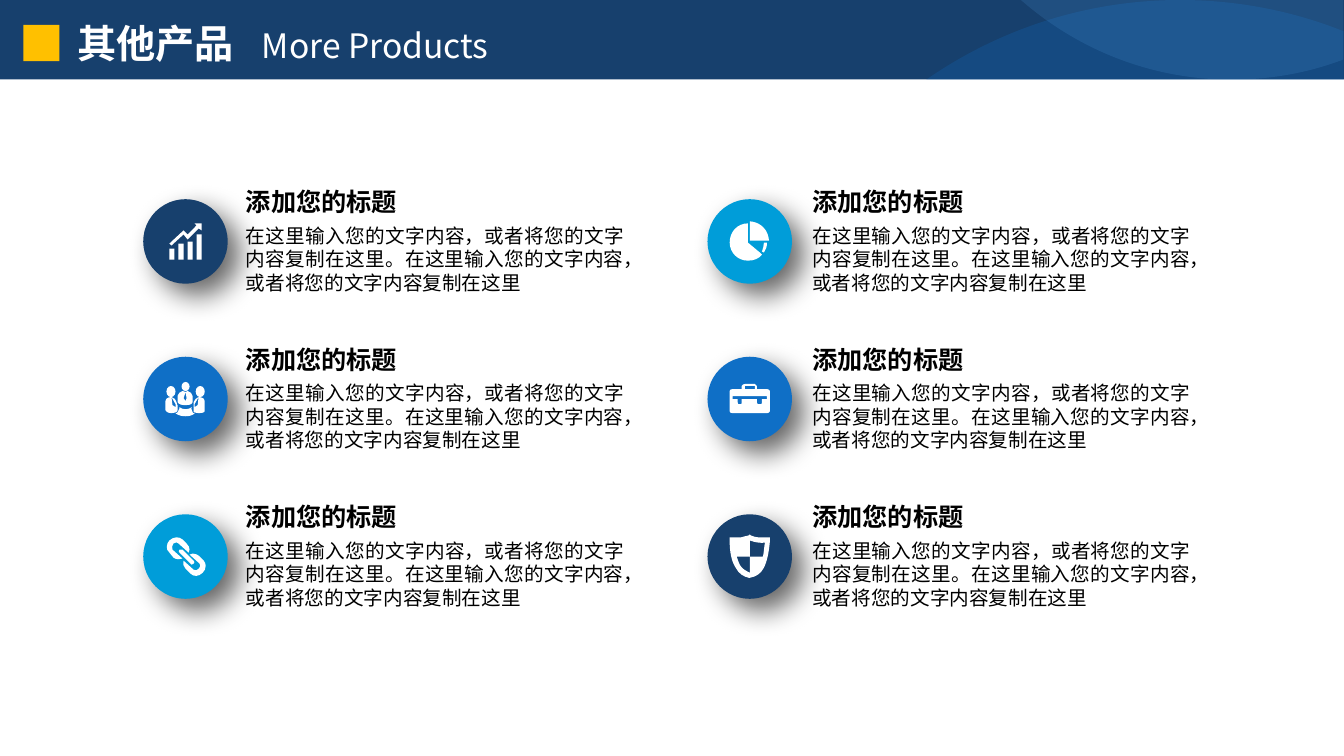
from lxml import etree
from pptx import Presentation
from pptx.dml.color import RGBColor
from pptx.enum.shapes import MSO_SHAPE
from pptx.enum.text import MSO_ANCHOR, PP_ALIGN
from pptx.oxml.ns import qn
from pptx.util import Cm, Pt

RECTANGLE = MSO_SHAPE.RECTANGLE
OVAL = MSO_SHAPE.OVAL
TOP = MSO_ANCHOR.TOP
LEFT = PP_ALIGN.LEFT
JUSTIFY = PP_ALIGN.JUSTIFY

FONT = "Noto Sans CJK SC"
NAVY, BLUE, SKY = "17406D", "0F6FC6", "009DD9"
WHITE, BLACK, YELLOW = "FFFFFF", "000000", "FFC000"
UNIT = Cm(0.0254)
LINE_SPACING = 1.2
PAGE_WIDTH, PAGE_HEIGHT = Cm(33.87), Cm(19.05)
HEADER_HEIGHT = Cm(2)

ITEM_TITLE = "添加您的标题"
ITEM_BODY = "在这里输入您的文字内容，或者将您的文字内容复制在这里。" \
            "在这里输入您的文字内容，或者将您的文字内容复制在这里"

WAVES = (
    ("M 1171 0 C 1228 0 1283 11 1333 31 L 1333 79 919 79 C 991 29 1078 0 1171 0", BLUE, 23),
    ("M 1333 0 L 1333 59 C 1299 72 1261 79 1222 79 C 1142 79 1069 49 1013 0", "59AAF2", 15),
)

GROWTH = (
    "M 51 24 L 53 26 44 35 40 31 26 44 28 46 40 35 44 40 55 29 58 31 58 24 "
    "M 53 35 L 58 35 58 60 53 60 M 44 42 L 49 42 49 60 44 60 "
    "M 35 44 L 40 44 40 60 35 60 M 26 49 L 31 49 31 60 26 60",
)
PIE = (
    "M 54 52 L 56 53 C 58 50 59 47 59 43 L 56 43 C 56 46 55 49 54 52",
    "M 59 41 L 61 41 C 59 22 42 22 42 22 L 42 41",
    "M 40 43 L 40 24 C 30 24 22 32 22 43 C 22 53 30 61 40 61 C 46 61 51 59 54 55 L 52 53",
)
TEAM = (
    "M 55 40 L 54 48 51 50 51 47 55 40 C 53 40 51 43 50 45 C 50 47 50 48 50 48 "
    "L 50 55 C 51 55 52 56 55 56 C 61 56 61 54 61 54 L 61 44 C 61 40 55 40 55 40",
    "M 49 55 C 47 53 48 50 48 50 C 48 50 46 52 42 52 C 38 52 36 50 36 50 "
    "C 36 50 36 53 34 55 C 34 56 33 56 32 56 C 32 56 35 59 42 59 "
    "C 49 59 51 56 51 56 C 50 56 49 56 49 55",
    "M 41 48 L 42 48 C 48 48 49 46 49 45 L 49 39 C 49 36 46 35 44 34 "
    "L 42 35 43 41 42 44 40 41 42 35 39 34 C 37 35 34 36 34 39 "
    "L 34 45 C 34 45 35 48 41 48",
    "M 34 53 L 34 48 C 34 48 33 47 33 45 C 32 43 31 40 28 40 "
    "L 32 47 32 50 29 48 28 40 C 28 40 22 40 22 44 L 22 53 "
    "C 22 53 23 56 28 56 C 31 56 32 55 33 55 C 34 54 34 53 34 53",
)
TEAM_HEADS = ((23, 29, 9, 11), (38, 25, 8, 9), (52, 29, 9, 11))
BRIEFCASE = (
    "M 59 42 L 54 42 54 45 C 54 46 54 47 53 47 L 50 47 C 50 47 49 46 49 45 "
    "L 49 42 34 42 34 45 C 34 46 34 47 33 47 L 31 47 C 30 47 30 46 30 45 "
    "L 30 42 25 42 25 39 59 39 M 37 29 L 47 29 47 32 37 32 "
    "M 59 32 L 49 32 49 29 C 49 28 48 27 47 27 L 37 27 C 36 27 34 28 34 29 "
    "L 34 32 25 32 C 23 32 22 33 22 34 L 22 54 C 22 55 23 56 25 56 "
    "L 59 56 C 60 56 62 55 62 54 L 62 34 C 62 33 60 32 59 32",
)
CHAIN = (
    "M 48 50 C 48 50 47 50 47 49 L 36 38 C 35 37 35 36 36 35 C 37 35 38 35 39 35 "
    "L 50 46 C 51 47 51 48 50 49 C 49 49 49 50 48 50 "
    "M 60 46 L 55 41 C 54 40 51 39 49 39 C 48 39 47 39 46 40 L 56 49 "
    "C 57 50 57 53 55 54 C 54 56 51 56 50 55 L 40 46 C 39 49 40 52 42 54 "
    "L 47 59 C 50 62 55 62 59 58 C 61 56 62 54 62 51 C 62 49 61 47 60 46 "
    "M 35 29 L 45 38 C 45 37 46 36 46 35 C 46 33 45 31 43 29 L 39 25 "
    "C 36 22 30 22 26 26 C 23 29 22 35 26 38 L 30 43 C 33 45 36 45 39 44 "
    "L 29 35 C 28 33 29 31 30 29 C 32 28 34 27 35 29",
)
SHIELD = (
    "M 42 58 L 42 42 29 42 C 30 45 31 48 32 50 C 34 54 38 56 42 58 "
    "M 42 42 L 55 42 C 56 38 56 34 57 28 C 55 29 53 28 50 28 C 48 28 45 27 42 26 "
    "M 25 23 C 27 23 30 23 33 23 C 35 22 38 22 41 21 L 42 20 43 21 "
    "C 46 22 48 23 51 23 C 54 23 56 23 59 23 L 62 23 62 26 "
    "C 61 38 59 47 56 53 C 53 59 48 62 42 63 L 41 63 "
    "C 36 62 31 59 28 53 C 24 47 22 38 22 26 L 22 23",
)
ITEMS = (
    (NAVY, GROWTH, ()), (SKY, PIE, ()),
    (BLUE, TEAM, TEAM_HEADS), (BLUE, BRIEFCASE, ()),
    (SKY, CHAIN, ()), (NAVY, SHIELD, ()),
)


def color(value):
    return RGBColor.from_string(value)


def paint(shape, fill, alpha=100):
    shape.shadow.inherit = False
    shape.fill.solid()
    shape.fill.fore_color.rgb = color(fill)
    shape.line.fill.background()
    if alpha < 100:
        swatch = shape.fill._xPr.find(".//" + qn("a:srgbClr"))
        etree.SubElement(swatch, qn("a:alpha"), val=str(alpha * 1000))
    return shape


def add_block(page, kind, left, top, width, height, fill):
    return paint(page.shapes.add_shape(kind, left, top, width, height), fill)


def read_contours(outline):
    contours = []
    for contour in outline.split("M")[1:]:
        points, curved = [], []
        for section in contour.replace("L", "|L").replace("C", "|C").split("|"):
            numbers = [int(word) * UNIT for word in section.strip("LC ").split()]
            pairs = list(zip(numbers[::2], numbers[1::2]))
            points += pairs
            curved += [section[0] == "C"] * len(pairs)
        contours.append((points, curved))
    return contours


def bend_lines(shape, flags):
    lines = list(shape._element.iter(qn("a:lnTo")))
    controls = [line for line, curved in zip(lines, flags) if curved]
    for first, second, end in zip(controls[::3], controls[1::3], controls[2::3]):
        first.tag = qn("a:cubicBezTo")
        for line in (second, end):
            first.append(line[0])
            line.getparent().remove(line)


def add_outline(page, left, top, outline, fill, alpha=100):
    builder, flags = None, []
    for points, curved in read_contours(outline):
        if builder is None:
            builder = page.shapes.build_freeform(*points[0])
        else:
            builder.move_to(*points[0])
        builder.add_line_segments(points[1:], close=True)
        extra = [False] if points[-1] != points[0] else []
        flags += curved[1:] + extra
    shape = builder.convert_to_shape(left, top)
    line_count = len(list(shape._element.iter(qn("a:lnTo"))))
    if line_count != len(flags):
        flags = [flag for _, curved in read_contours(outline) for flag in curved[1:]]
    bend_lines(shape, flags)
    return paint(shape, fill, alpha)


def add_text(page, left, top, width, height, spans, align=LEFT, tab=None):
    box = page.shapes.add_textbox(left, top, width, height)
    box.text_frame.word_wrap = True
    box.text_frame.vertical_anchor = TOP
    para = box.text_frame.paragraphs[0]
    para.alignment = align
    para.line_spacing = Pt(LINE_SPACING * spans[0][1])
    if tab:
        stops = etree.SubElement(para._p.get_or_add_pPr(), qn("a:tabLst"))
        etree.SubElement(stops, qn("a:tab"), pos=str(tab), algn="l")
    for text, size, bold, ink in spans:
        span = para.add_run()
        span.text = text
        span.font.size, span.font.bold, span.font.name = Pt(size), bold, FONT
        span.font.color.rgb = color(ink)
        etree.SubElement(span._r.get_or_add_rPr(), qn("a:ea"), typeface=FONT)


def add_header(page, left, top, width, height):
    add_block(page, RECTANGLE, left, top, width, height, NAVY)
    for outline, fill, alpha in WAVES:
        add_outline(page, left, top, outline, fill, alpha)
    add_text(page, left + Cm(1.7), top + Cm(0.36), Cm(18.47), Cm(1.45),
             (("其他产品\t", 28, True, WHITE), ("More Products", 24, False, WHITE)),
             tab=Cm(4.65))
    add_block(page, RECTANGLE, left + Cm(0.59), top + Cm(0.63), Cm(0.91), Cm(0.91), YELLOW)


def add_item(page, left, top, text_gap, fill, outlines, heads):
    badge_top = top + Cm(0.45)
    badge = add_block(page, OVAL, left, badge_top, Cm(2.13), Cm(2.13), fill)
    effects = badge._element.spPr.find(qn("a:effectLst"))
    shadow = etree.SubElement(effects, qn("a:outerShdw"), blurRad=str(Pt(20)),
                              dist=str(Pt(12)), dir="2700000", algn="tl", rotWithShape="0")
    tint = etree.SubElement(shadow, qn("a:srgbClr"), val=BLACK)
    etree.SubElement(tint, qn("a:alpha"), val="60000")
    for outline in outlines:
        add_outline(page, left, badge_top, outline, WHITE)
    for x, y, width, height in heads:
        add_block(page, OVAL, left + x * UNIT, badge_top + y * UNIT,
                  width * UNIT, height * UNIT, WHITE)
    add_text(page, left + text_gap, top, Cm(6.2), Cm(1.02),
             ((ITEM_TITLE, 18, True, BLACK),), JUSTIFY)
    add_text(page, left + text_gap, top + Cm(0.94), Cm(10.03), Cm(2.06),
             ((ITEM_BODY, 14, False, BLACK),), JUSTIFY)


def main():
    deck = Presentation()
    deck.slide_width, deck.slide_height = PAGE_WIDTH, PAGE_HEIGHT
    page = deck.slides.add_slide(deck.slide_layouts[6])
    add_header(page, 0, 0, PAGE_WIDTH, HEADER_HEIGHT)
    for index, item in enumerate(ITEMS):
        row, column = divmod(index, 2)
        add_item(page, Cm(3.61 + 14.22 * column), Cm(4.57 + 3.97 * row),
                 Cm(2.34 + 0.05 * column), *item)
    deck.save("out.pptx")


if __name__ == "__main__":
    main()
